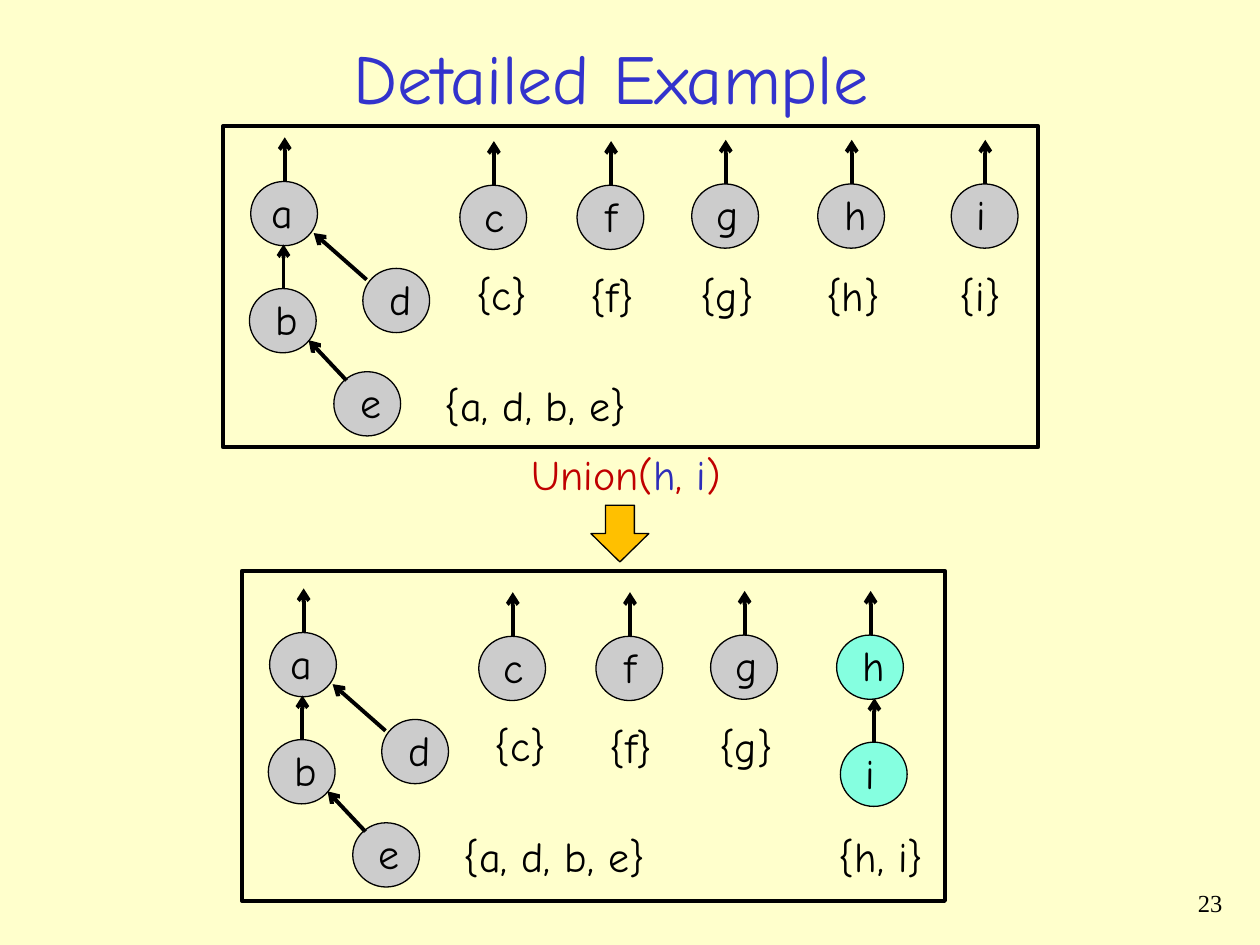
"""Build the "Detailed Example" slide: a disjoint-set forest before and after a union."""
from lxml import etree
from pptx import Presentation
from pptx import util as u
from pptx.dml.color import RGBColor
from pptx.enum import shapes, text
from pptx.oxml.ns import qn

COLORS = dict(page="FFFFCC", ink="000000", title="3333CC", call="C00000", arg="2D2DB9",
              node="CCCCCC", merged="85FFE0", step="FFC000")
FONT = "Comic Neue"
UP = ((0.27, 0), (0.27, -0.35))
LEAN = {"d": ((0.03, 0.09), (-0.39, -0.28)), "e": ((0.1, 0.07), (-0.2, -0.25))}
NODES = {"a": (1.99, 1.44), "b": (1.98, 2.29), "c": (3.65, 1.47), "d": (2.88, 2.13),
         "e": (2.65, 2.95), "f": (4.58, 1.47), "g": (5.49, 1.46), "h": (6.49, 1.46),
         "i": (7.55, 1.46)}
LETTERS = {"a": (0.07, 0.37), "b": (0.11, 0.38), "c": (0.1, 0.36), "d": (0.11, 0.37),
           "e": (0.11, 0.36), "f": (0.13, 0.29), "g": (0.1, 0.37), "h": (0.11, 0.38),
           "i": (0.1, 0.27)}
SETS = {"{a, d, b, e}": (3.43, 2.96, 1.66), "{c}": (3.68, 2.08, 0.63),
        "{f}": (4.59, 2.1, 0.56), "{g}": (5.46, 2.09, 0.65), "{h}": (6.46, 2.09, 0.65),
        "{i}": (7.52, 2.09, 0.55)}


def rgb(name):
    """Return the named colour."""
    return RGBColor.from_string(COLORS[name])


def inches(*values):
    """Convert numbers to inch lengths."""
    return [u.Inches(v) for v in values]


def write(tf, runs, size=24, font=FONT, align=None):
    """Fill the first paragraph with (text, colour) runs."""
    p = tf.paragraphs[0]
    p.alignment = align
    for words, color in runs:
        r = p.add_run()
        r.text = words
        for name, value in dict(size=u.Pt(size), name=font, bold=False).items():
            setattr(r.font, name, value)
        r.font.color.rgb = rgb(color)


def add_label(group, x, y, w, runs, wrap=False, **style):
    """Add a one-line text box."""
    tf = group.add_textbox(*inches(x, y, w, 0.5)).text_frame
    tf.word_wrap = wrap
    if not wrap:
        tf.auto_size = text.MSO_AUTO_SIZE.SHAPE_TO_FIT_TEXT
    write(tf, runs, **style)


def add_outlined(group, kind, box, fill=None, width=0.75):
    """Add a preset shape with a black outline."""
    sp = group.add_shape(kind, *inches(*box))
    sp.shadow.inherit = False
    if fill:
        sp.fill.solid()
        sp.fill.fore_color.rgb = rgb(fill)
    else:
        sp.fill.background()
    sp.line.color.rgb = rgb("ink")
    sp.line.width = u.Pt(width)


def add_arrow(group, x, y, ends):
    """Add an arrow whose ends are offsets from a node's corner."""
    (x1, y1), (x2, y2) = ends
    cx = group.add_connector(shapes.MSO_CONNECTOR.STRAIGHT,
                             *inches(x + x1, y + y1, x + x2, y + y2))
    cx.line.color.rgb = rgb("ink")
    cx.line.width = u.Pt(2.25)
    props = cx.element.spPr
    etree.SubElement(props.find(qn("a:ln")), qn("a:tailEnd"), type="arrow")
    etree.SubElement(props, qn("a:effectLst"))


def add_node(group, letter, x, y, fill="node"):
    """Add a lettered circle and the arrow to its parent."""
    dx, w = LETTERS[letter]
    add_outlined(group, shapes.MSO_SHAPE.OVAL, (x, y, 0.53, 0.51), fill)
    add_label(group, x + dx, y - 0.01, w, [(letter, "ink")])
    add_arrow(group, x, y, LEAN.get(letter, UP))


def add_forest(group, letters, sets, frame, dx=0, dy=0, merged=()):
    """Add a framed forest shifted by dx and dy."""
    for letter in letters:
        x, y = NODES[letter]
        add_node(group, letter, x + dx, y + dy, "merged" if letter in merged else "node")
    for name in sets:
        x, y, w = SETS[name]
        add_label(group, x + dx, y + dy, w, [(name, "ink")])
    add_outlined(group, shapes.MSO_SHAPE.RECTANGLE, frame, width=2.25)


def add_title(s, words):
    """Place and fill the title placeholder."""
    sp = s.shapes.title
    for name, value in zip(("left", "top", "width", "height"), inches(0.37, 0.26, 8.96, 0.69)):
        setattr(sp, name, value)
    sp.text_frame.vertical_anchor = text.MSO_ANCHOR.MIDDLE
    write(sp.text_frame, [(words, "title")], size=40, align=text.PP_ALIGN.CENTER)


def main():
    """Build and save the slide."""
    prs = Presentation()
    prs.slide_width, prs.slide_height = inches(10, 7.5)
    s = prs.slides.add_slide(prs.slide_layouts[5])
    s.background.fill.solid()
    s.background.fill.fore_color.rgb = rgb("page")
    add_title(s, "Detailed Example")
    add_label(s.shapes, 7.72, 7, 2.08, [("23", "ink")], wrap=True, size=14,
              font="Times New Roman", align=text.PP_ALIGN.RIGHT)
    add_label(s.shapes, 4.12, 3.51, 1.7, [("Union(", "call"), ("h", "arg"), (", ", "call"),
                                          ("i", "arg"), (")", "call")])
    add_outlined(s.shapes, shapes.MSO_SHAPE.DOWN_ARROW, (4.69, 4.01, 0.46, 0.45), "step")
    after = s.shapes.add_group_shape().shapes
    add_node(after, "i", 6.67, 5.89, "merged")
    add_label(after, 6.56, 6.54, 0.89, [("{h, i}", "ink")])
    add_forest(after, "abcdefgh", list(SETS)[:4], (1.92, 4.53, 5.58, 2.62),
               dx=0.15, dy=3.58, merged="h")
    add_forest(s.shapes, NODES, SETS, (1.77, 1, 6.47, 2.55))
    prs.save("out.pptx")


if __name__ == "__main__":
    main()
